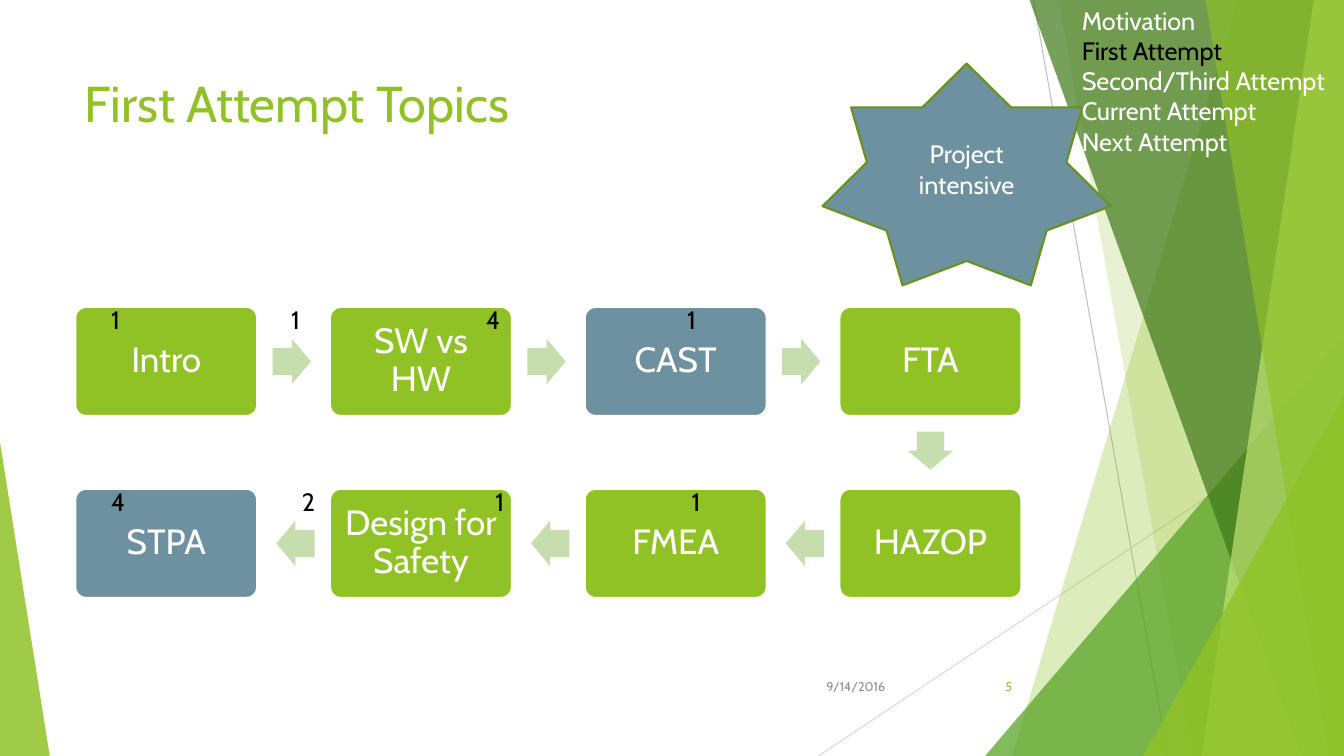
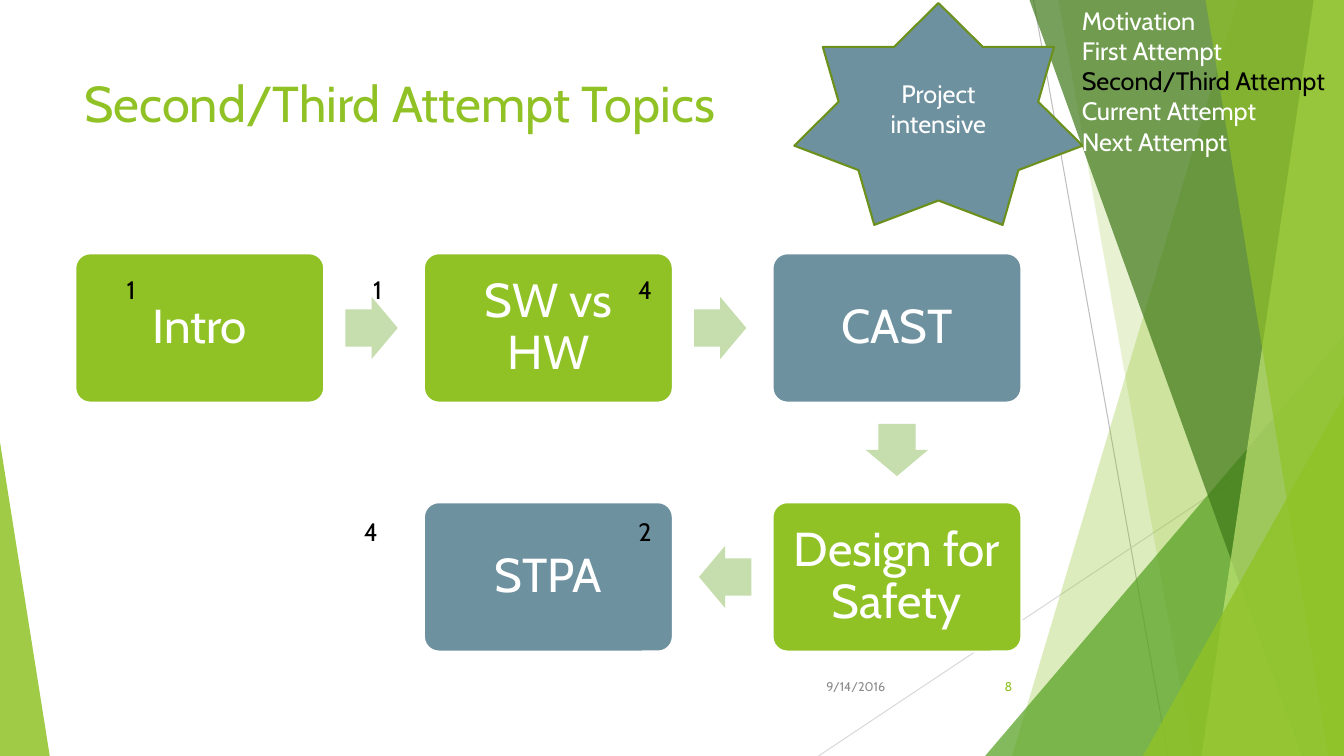
from dataclasses import dataclass
from typing import NamedTuple

from pptx import Presentation
from pptx.dml.color import RGBColor
from pptx.enum.shapes import MSO_CONNECTOR as Connector, MSO_SHAPE as Preset
from pptx.enum.text import MSO_ANCHOR as Anchor, PP_ALIGN as Align
from pptx.oxml.ns import qn
from pptx.oxml.xmlchemy import OxmlElement
from pptx.shapes.autoshape import Shape
from pptx.slide import Slide
from pptx.text.text import TextFrame
from pptx.util import Emu, Inches, Pt

WIDTH, HEIGHT = Inches(13.33), Inches(7.5)
FONT = "Cabin"
GREEN, SLATE, PALE_GREEN = "90C226", "6E91A0", "C6DDAD"
WHITE, BLACK, GREY = "FFFFFF", "000000", "8C8C8C"
DATE = "9/14/2016"
AGENDA = ["Motivation", "First Attempt", "Second/Third Attempt",
          "Current Attempt", "Next Attempt"]
PROJECT_TOPICS = {"CAST", "STPA"}


# All positions are percentages of the slide's width and height
class Area(NamedTuple):
    left: float
    top: float
    width: float
    height: float


class Thread(NamedTuple):
    start: tuple[float, float]
    end: tuple[float, float]
    color: str


@dataclass(frozen=True)
class Facet:
    """A see-through band running from the top edge to the bottom edge."""
    top_left: float
    bottom_left: float
    color: str
    opacity: int


@dataclass(frozen=True)
class Wedge:
    """A see-through triangle standing on the bottom edge."""
    area: Area
    apex: float
    color: str
    opacity: int


@dataclass(frozen=True)
class CountRow:
    """Numbers on one line, as (centre, number) pairs."""
    middle: float
    counts: list[tuple[float, str]]


@dataclass(frozen=True)
class TopicSlide:
    current: str
    number: str
    columns: int
    topics: list[str]
    star: Area
    count_rows: list[CountRow]


THREADS = [
    Thread((76.9, 0), (86.9, 100), "BFBFBF"),
    Thread((100, 53.7), (60.9, 100), "D9D9D9"),
]
BACKDROP = [
    Facet(92.1, 75.3, GREEN, 30),
    Facet(78.75, 88.75, GREEN, 20),
    Wedge(Area(73.3, 44.4, 26.7, 55.6), 1, "54A021", 72),
    Facet(76.6, 96.85, "3F7819", 70),
    Facet(97.75, 89.4, "C0E474", 70),
    Facet(89.7, 98.85, GREEN, 65),
    Wedge(Area(85.05, 52.4, 14.95, 47.6), 1, GREEN, 80),
    Wedge(Area(0, 58.5, 3.7, 41.5), 0, GREEN, 85),
]
TITLE_AREA = Area(5.55, 8.9, 70.5, 19.2)
DATE_AREA = Area(59.1, 88.1, 7.5, 5.3)
NUMBER_AREA = Area(70.4, 88.1, 5.65, 5.3)
AGENDA_AREA = Area(79.75, 0, 20.5, 22)
FLOW_LEFT, FLOW_SPAN, FLOW_MIDDLE = 5.6, 70.4, 59.85

# Flow proportions, in topic widths
COLUMN_STEP, ROW_STEP, TOPIC_HEIGHT = 1.4, 1.0, 0.6
ARROW_LENGTH, ARROW_BREADTH, ARROW_SETBACK = 0.21, 0.25, 0.01
TOPIC_PADDING, POINTS_PER_INCH = 0.05, 13.8

SLIDES = [
    TopicSlide(
        "First Attempt", "5", 4,
        ["Intro", "SW vs HW", "CAST", "FTA",
         "HAZOP", "FMEA", "Design for Safety", "STPA"],
        Area(61.2, 8.4, 21.45, 29.35),
        [CountRow(42.3, [(8.6, "1"), (22, "1"), (36.7, "4"), (51.45, "1")]),
         CountRow(66.3, [(8.8, "4"), (22.95, "2"), (37.2, "1"), (51.8, "1")])],
    ),
    TopicSlide(
        "Second/Third Attempt", "8", 3,
        ["Intro", "SW vs HW", "CAST", "Design for Safety", "STPA"],
        Area(59.1, 0.4, 21.45, 29.35),
        [CountRow(38.3, [(9.75, "1"), (28.1, "1"), (48, "4")]),
         CountRow(70.3, [(27.6, "4"), (48, "2")])],
    ),
]


def rgb(color: str) -> RGBColor:
    return RGBColor.from_string(color)


def across(percent: float) -> Emu:
    return Emu(round(WIDTH * percent / 100))


def down(percent: float) -> Emu:
    return Emu(round(HEIGHT * percent / 100))


def place(area: Area) -> tuple[Emu, Emu, Emu, Emu]:
    return across(area.left), down(area.top), across(area.width), down(area.height)


def paint(shape: Shape, color: str, outline: str | None = None,
          opacity: int = 100) -> None:
    shape.shadow.inherit = False
    shape.fill.solid()
    shape.fill.fore_color.rgb = rgb(color)
    if opacity < 100:
        alpha = OxmlElement("a:alpha")
        alpha.set("val", str(opacity * 1000))
        shape.element.spPr.find(qn("a:solidFill"))[0].append(alpha)
    if outline:
        shape.line.color.rgb = rgb(outline)
        shape.line.width = Pt(1.5)
    else:
        shape.line.fill.background()


def write(frame: TextFrame, text: str, size: float, color: str,
          align: Align = Align.LEFT, anchor: Anchor = Anchor.TOP) -> None:
    frame.text = text
    frame.word_wrap = True
    frame.vertical_anchor = anchor
    for paragraph in frame.paragraphs:
        paragraph.alignment = align
        for run in paragraph.runs:
            run.font.name = FONT
            run.font.size = Pt(size)
            run.font.color.rgb = rgb(color)


def add_text(slide: Slide, area: Area, text: str, size: float, color: str,
             align: Align = Align.LEFT, anchor: Anchor = Anchor.TOP) -> TextFrame:
    frame = slide.shapes.add_textbox(*place(area)).text_frame
    write(frame, text, size, color, align, anchor)
    return frame


def draw_backdrop(slide: Slide) -> None:
    for thread in THREADS:
        (x1, y1), (x2, y2) = thread.start, thread.end
        line = slide.shapes.add_connector(
            Connector.STRAIGHT, across(x1), down(y1), across(x2), down(y2))
        line.line.color.rgb = rgb(thread.color)
        line.line.width = Pt(0.75)
        line.element.spPr.append(OxmlElement("a:effectLst"))
    for piece in BACKDROP:
        if isinstance(piece, Facet):
            outline = slide.shapes.build_freeform(across(piece.top_left), 0)
            outline.add_line_segments(
                [(WIDTH, 0), (WIDTH, HEIGHT), (across(piece.bottom_left), HEIGHT)])
            shape = outline.convert_to_shape()
        else:
            shape = slide.shapes.add_shape(
                Preset.ISOSCELES_TRIANGLE, *place(piece.area))
            shape.adjustments[0] = piece.apex
        paint(shape, piece.color, opacity=piece.opacity)


def draw_topic_flow(slide: Slide, topics: list[str], columns: int) -> None:
    """Topics run right along one row, then back left along the next."""
    unit = across(FLOW_SPAN) / (COLUMN_STEP * (columns - 1) + 1)
    rows = -(-len(topics) // columns)
    flow_height = unit * (ROW_STEP * (rows - 1) + TOPIC_HEIGHT)
    flow_top = down(FLOW_MIDDLE) - flow_height / 2

    def centre(step: int) -> tuple[float, float]:
        row, column = divmod(step, columns)
        if row % 2:
            column = columns - 1 - column
        return (across(FLOW_LEFT) + unit * (COLUMN_STEP * column + 0.5),
                flow_top + unit * (ROW_STEP * row + TOPIC_HEIGHT / 2))

    def add_centred(preset: Preset, x: float, y: float,
                    width: float, height: float) -> Shape:
        return slide.shapes.add_shape(
            preset, round(x - width * unit / 2), round(y - height * unit / 2),
            round(width * unit), round(height * unit))

    for step, topic in enumerate(topics):
        x, y = centre(step)
        card = add_centred(Preset.ROUNDED_RECTANGLE, x, y, 1, TOPIC_HEIGHT)
        card.adjustments[0] = 0.1
        paint(card, SLATE if topic in PROJECT_TOPICS else GREEN, WHITE)
        frame = card.text_frame
        frame.margin_left = frame.margin_right = round(unit * TOPIC_PADDING)
        frame.margin_top = frame.margin_bottom = round(unit * TOPIC_PADDING)
        write(frame, topic, round(POINTS_PER_INCH * unit / Inches(1)), WHITE,
              Align.CENTER, Anchor.MIDDLE)
        frame.paragraphs[0].line_spacing = 0.9

        # Arrow to the next topic, set slightly back towards this one
        if step + 1 == len(topics):
            continue
        next_x, next_y = centre(step + 1)
        turns_down = next_y > y
        heading = 90 if turns_down else 0 if next_x > x else 180
        setback = ARROW_SETBACK * unit
        shift_x = 0 if turns_down else setback if next_x > x else -setback
        shift_y = setback if turns_down else 0
        arrow = add_centred(Preset.RIGHT_ARROW, (x + next_x) / 2 - shift_x,
                            (y + next_y) / 2 - shift_y,
                            ARROW_LENGTH, ARROW_BREADTH)
        arrow.adjustments[0], arrow.adjustments[1] = 0.6, 0.5
        arrow.rotation = heading
        paint(arrow, PALE_GREEN)


def draw_star(slide: Slide, area: Area) -> None:
    star = slide.shapes.add_shape(Preset.STAR_7_POINT, *place(area))
    paint(star, SLATE, "6B901C")
    write(star.text_frame, "Project intensive", 18, WHITE,
          Align.CENTER, Anchor.MIDDLE)


def draw_counts(slide: Slide, rows: list[CountRow]) -> None:
    width, height = 3, 5
    for row in rows:
        for middle_x, count in row.counts:
            area = Area(middle_x - width / 2, row.middle - height / 2, width, height)
            add_text(slide, area, count, 18, BLACK, Align.CENTER, Anchor.MIDDLE)


def draw_agenda(slide: Slide, current: str) -> None:
    agenda = add_text(slide, AGENDA_AREA, "\n".join(AGENDA), 18, WHITE)
    entry = agenda.paragraphs[AGENDA.index(current)]
    entry.runs[0].font.color.rgb = rgb(BLACK)


def draw_slide(slide: Slide, content: TopicSlide) -> None:
    draw_backdrop(slide)
    # Title and footer
    add_text(slide, TITLE_AREA, f"{content.current} Topics", 36, GREEN)
    for area, text, color in ((DATE_AREA, DATE, GREY),
                              (NUMBER_AREA, content.number, GREEN)):
        add_text(slide, area, text, 9, color, Align.RIGHT, Anchor.MIDDLE)
    # Content
    draw_topic_flow(slide, content.topics, content.columns)
    draw_star(slide, content.star)
    draw_counts(slide, content.count_rows)
    draw_agenda(slide, content.current)


def main() -> None:
    deck = Presentation()
    deck.slide_width, deck.slide_height = WIDTH, HEIGHT
    blank = deck.slide_layouts[6]
    for content in SLIDES:
        draw_slide(deck.slides.add_slide(blank), content)
    deck.save("out.pptx")


if __name__ == "__main__":
    main()
